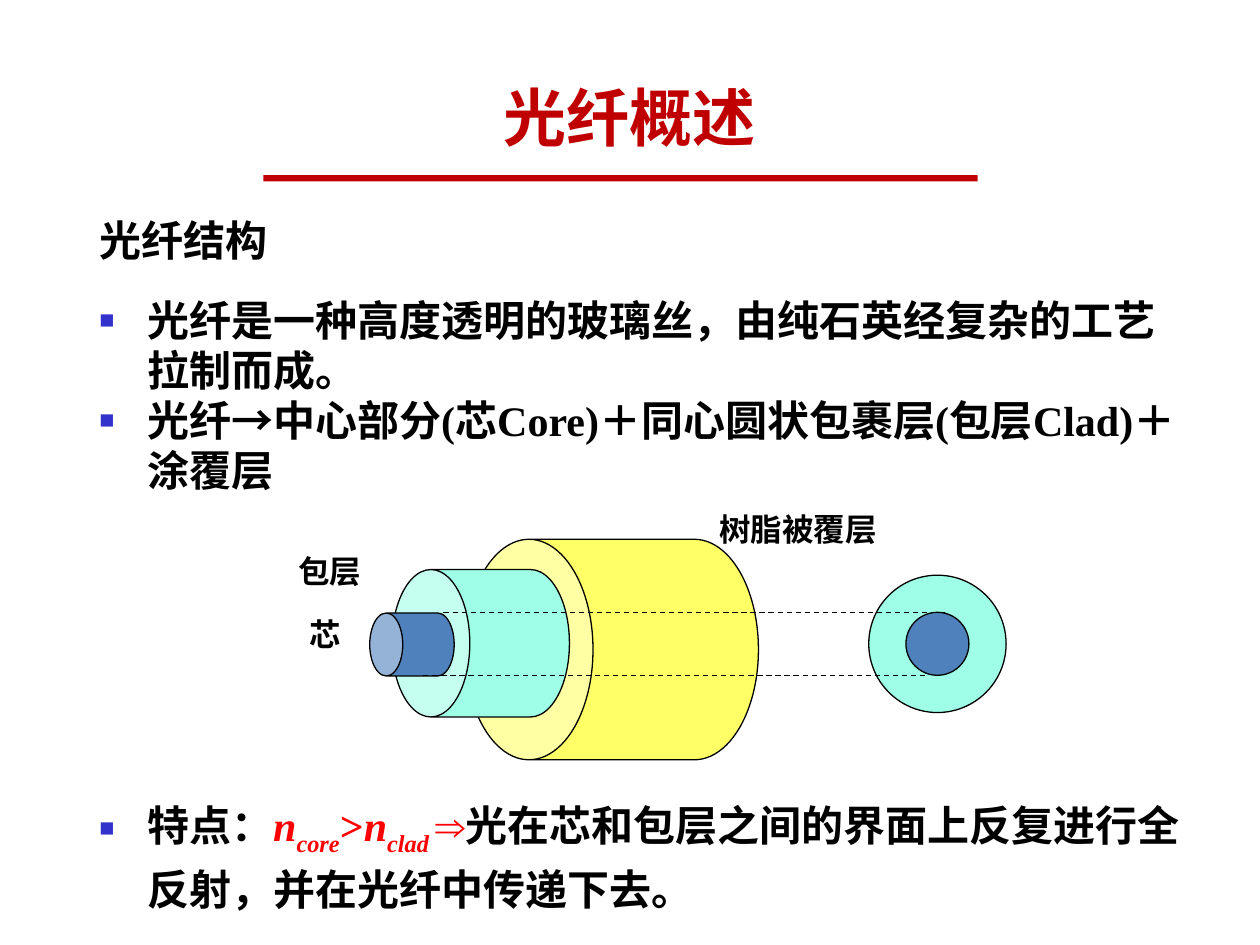
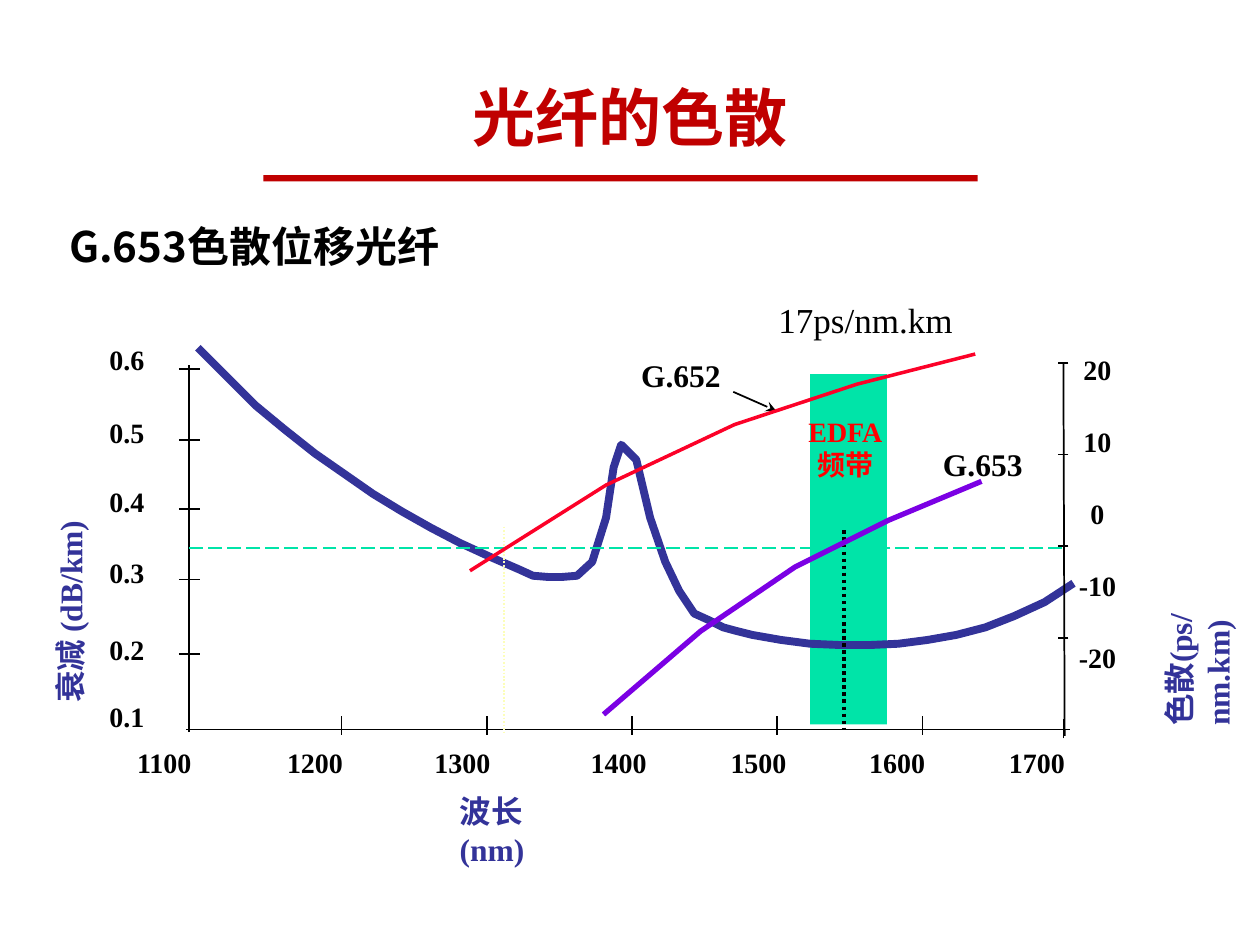
from lxml import etree
from pptx import Presentation
from pptx.dml.color import RGBColor
from pptx.enum.dml import MSO_LINE
from pptx.enum.shapes import MSO_CONNECTOR, MSO_SHAPE
from pptx.enum.text import MSO_ANCHOR, PP_ALIGN
from pptx.oxml.ns import qn
from pptx.util import Inches, Pt

RECT, CAN, OVAL = MSO_SHAPE.RECTANGLE, MSO_SHAPE.CAN, MSO_SHAPE.OVAL
DASH, DOT, LONG_DASH = MSO_LINE.DASH, MSO_LINE.ROUND_DOT, MSO_LINE.LONG_DASH
STRAIGHT = MSO_CONNECTOR.STRAIGHT
LEFT, CENTER = PP_ALIGN.LEFT, PP_ALIGN.CENTER
TOP, MIDDLE = MSO_ANCHOR.TOP, MSO_ANCHOR.MIDDLE

SANS, SERIF = "Noto Sans CJK SC", "Times New Roman"
COLORS = {
    "black": "000000", "title": "C00000", "red": "FF0000", "bullet": "3333CC",
    "coating": "FFFF66", "clad": "9FFFE6", "core": "4F81BD",
    "band": "00E4A8", "loss": "333399", "g652": "FC0128", "g653": "7B00E4",
    "pale": "FCFEB9",
}


def rgb(name):
    return RGBColor.from_string(COLORS[name])


def add_run(p, text, size=18, color="black", font=SERIF, bold=True,
            italic=False, subscript=False):
    r = p.add_run()
    r.text = text
    f = r.font
    f.size, f.bold, f.italic, f.name = Pt(size), bold, italic, font
    f.color.rgb = rgb(color)
    rPr = r._r.get_or_add_rPr()
    etree.SubElement(rPr, qn("a:ea"), typeface=SANS)
    if subscript:
        rPr.set("baseline", "-25000")


def add_bullet(p):
    pPr = p._p.get_or_add_pPr()
    pPr.set("marL", str(Inches(0.38)))
    pPr.set("indent", str(-Inches(0.38)))
    clr = etree.SubElement(pPr, qn("a:buClr"))
    etree.SubElement(clr, qn("a:srgbClr"), val=COLORS["bullet"])
    etree.SubElement(pPr, qn("a:buSzPct"), val="60000")
    etree.SubElement(pPr, qn("a:buFont"), typeface=SERIF)
    etree.SubElement(pPr, qn("a:buChar"), char="■")


class Deck:
    def __init__(self):
        self.prs = Presentation()
        self.prs.slide_width, self.prs.slide_height = Inches(10), Inches(7.5)
        self.s = None

    def slide(self, title):
        self.s = self.prs.slides.add_slide(self.prs.slide_layouts[6])
        self.text(0.5, 0.3, 9, 1.25, title, size=36, color="title", font=SANS,
                  align=CENTER, anchor=MIDDLE)
        self.shape(RECT, 2.09, 1.39, 5.67, 0.05, "title")

    def text(self, x, y, w, h, *paragraphs, align=LEFT, anchor=TOP, rotation=0,
             bullet=False, pitch=None, gap=0, **fmt):
        """Each paragraph is a string or a list of (text, format) runs."""
        box = self.s.shapes.add_textbox(Inches(x), Inches(y), Inches(w), Inches(h))
        box.rotation = rotation
        tf = box.text_frame
        tf.word_wrap, tf.vertical_anchor = True, anchor
        for i, runs in enumerate(paragraphs):
            p = tf.paragraphs[0] if i == 0 else tf.add_paragraph()
            if bullet:
                add_bullet(p)
            p.alignment = align
            if pitch:
                p.line_spacing = Pt(pitch)
            if i and gap:
                p.space_before = Pt(gap)
            for text, extra in [(runs, {})] if isinstance(runs, str) else runs:
                add_run(p, text, **{**fmt, **extra})

    def shape(self, kind, x, y, w, h, fill, outline=False, rotation=0, adj=None):
        sp = self.s.shapes.add_shape(kind, Inches(x), Inches(y), Inches(w), Inches(h))
        sp.shadow.inherit = False
        sp.rotation = rotation
        sp.fill.solid()
        sp.fill.fore_color.rgb = rgb(fill)
        if adj:
            sp.adjustments[0] = adj
        if outline:
            sp.line.color.rgb, sp.line.width = rgb("black"), Pt(0.75)
        else:
            sp.line.fill.background()

    def line(self, x1, y1, x2, y2, color="black", width=1, dash=None, arrow=False):
        c = self.s.shapes.add_connector(STRAIGHT, Inches(x1), Inches(y1),
                                        Inches(x2), Inches(y2))
        c.line.color.rgb, c.line.width = rgb(color), Pt(width)
        if dash:
            c.line.dash_style = dash
        if arrow:
            etree.SubElement(c.line._get_or_add_ln(), qn("a:tailEnd"), type="stealth")
        etree.SubElement(c._element.spPr, qn("a:effectLst"))

    def curve(self, points, color, width):
        pts = [(Inches(x), Inches(y)) for x, y in points]
        fb = self.s.shapes.build_freeform(*pts[0], scale=1.0)
        fb.add_line_segments(pts[1:], close=False)
        sp = fb.convert_to_shape()
        sp.shadow.inherit = False
        sp.fill.background()
        sp.line.color.rgb, sp.line.width = rgb(color), Pt(width)


def structure_slide(d):
    d.slide("光纤概述")
    body = dict(size=24, pitch=28.6)
    d.text(0.69, 1.66, 8.87, 0.5, "光纤结构", **body)
    d.text(0.69, 2.29, 8.87, 1.7,
           "光纤是一种高度透明的玻璃丝，由纯石英经复杂的工艺拉制而成。",
           "光纤→中心部分(芯Core)＋同心圆状包裹层(包层Clad)＋涂覆层",
           bullet=True, **body)
    red = dict(color="red")
    index = dict(red, italic=True, subscript=True)
    symbol = dict(red, italic=True)
    d.text(0.69, 6.3, 8.87, 1,
           [("特点：", {}), ("n", symbol), ("core", index), (">", red),
            ("n", symbol), ("clad ", index), ("⇒", red),
            ("光在芯和包层之间的界面上反复进行全反射，并在光纤中传递下去。", {})],
           bullet=True, size=24, pitch=32.6)

    for x, y, w, h, adj, layer in [(3.98, 3.99, 1.75, 2.33, 0.581, "coating"),
                                   (3.23, 4.4, 1.17, 1.41, 0.529, "clad"),
                                   (3.02, 4.78, 0.5, 0.67, 0.524, "core")]:
        d.shape(CAN, x, y, w, h, layer, outline=True, rotation=270, adj=adj)
    for diameter, layer in [(1.09, "clad"), (0.5, "core")]:
        d.shape(OVAL, 7.44 - diameter / 2, 5.11 - diameter / 2, diameter, diameter,
                layer, outline=True)
    for x, y in [(3.52, 4.86), (3.36, 5.36)]:
        d.line(x, y, x + 4, y, width=0.75, dash=DASH)
    for x, y, w, label in [(2.36, 4.83, 0.58, "芯"), (2.27, 4.33, 0.92, "包层"),
                           (5.61, 4, 1.92, "树脂被覆层")]:
        d.text(x, y, w, 0.4, label)


LOSS_CURVE = [
    (1.57, 2.76), (1.8, 2.99), (2.03, 3.22), (2.26, 3.41), (2.5, 3.6), (2.73, 3.76),
    (2.96, 3.92), (3.19, 4.06), (3.42, 4.19), (3.65, 4.31), (3.89, 4.42), (4.12, 4.52),
    (4.23, 4.57), (4.35, 4.58), (4.46, 4.58), (4.58, 4.57), (4.7, 4.46), (4.81, 4.11),
    (4.87, 3.71), (4.93, 3.53), (5.05, 3.65), (5.16, 4.11), (5.28, 4.46), (5.39, 4.69),
    (5.51, 4.87), (5.62, 4.92), (5.74, 4.98), (5.85, 5.01), (5.97, 5.04), (6.2, 5.08),
    (6.43, 5.11), (6.67, 5.12), (6.9, 5.12), (7.13, 5.11), (7.36, 5.08), (7.59, 5.04),
    (7.82, 4.98), (8.05, 4.89), (8.29, 4.78), (8.52, 4.63)]
G653_CURVE = [(4.79, 5.67), (5.56, 5.01), (6.31, 4.5), (7.05, 4.13), (7.79, 3.82)]
G652_CURVE = [(3.73, 4.53), (4.81, 3.85), (5.83, 3.37), (6.8, 3.05), (7.74, 2.81)]


def wavelength_axis(d):
    d.line(1.48, 5.79, 8.49, 5.79)
    for i in range(5):
        x = 2.71 + 1.153 * i
        d.line(x, 5.83, x, 5.68)
    for i, x in enumerate([0.99, 2.18, 3.35, 4.59, 5.7, 6.8, 7.91]):
        d.text(x, 5.87, 0.8, 0.37, str(1100 + 100 * i), size=16)
    d.text(3.55, 6.24, 0.8, 0.7, "波长(nm)", color="loss")


def loss_axis(d):
    d.line(1.5, 5.81, 1.5, 2.9)
    for y in [2.93, 3.49, 4.04, 4.6, 5.19]:
        d.line(1.42, y, 1.59, y)
    for i, y in enumerate([5.5, 4.97, 4.36, 3.8, 3.25, 2.67]):
        d.text(0.77, y, 0.6, 0.37, f"0.{i + 1}", size=16)
    d.text(-0.35, 4.57, 1.81, 0.4, "衰减 (dB/km)", color="loss", rotation=270)


def dispersion_axis(d):
    d.line(8.44, 5.86, 8.44, 5.71)
    d.line(8.45, 5.84, 8.44, 2.88)
    for i in range(4):
        y = 2.88 + 0.727 * i
        d.line(8.48, y, 8.4, y)
    d.text(8.41, 2.75, 0.6, 2.63, "20", "10", "0", "-10", "-20",
           size=16, align=CENTER, gap=22)
    d.text(8.91, 4.81, 1.3, 0.8, "色散(ps/nm.km)", color="loss", rotation=270)


def dispersion_slide(d):
    d.slide("光纤的色散")
    d.text(0.45, 1.7, 8.72, 0.6, "G.653色散位移光纤", size=24, font=SANS)
    d.shape(RECT, 6.43, 2.97, 0.61, 2.78, "band")
    d.text(6.21, 3.24, 1, 0.63, "EDFA", "频带", size=16, color="red", align=CENTER)
    wavelength_axis(d)
    d.curve(LOSS_CURVE, "loss", 4.5)
    loss_axis(d)
    d.line(4, 4.18, 4, 5.81, color="pale", dash=DOT)
    d.line(6.7, 4.21, 6.7, 5.78, width=2, dash=DOT)
    d.line(8.43, 4.35, 1.48, 4.35, color="band", dash=LONG_DASH)
    dispersion_axis(d)
    d.text(6.91, 3.48, 1.78, 0.4, "G.653", align=CENTER)
    d.curve(G653_CURVE, "g653", 3)
    d.text(6.08, 2.32, 1.8, 0.44, "17ps/nm.km", size=20, bold=False)
    d.line(5.82, 3.11, 6.16, 3.26, arrow=True)
    d.text(4.99, 2.78, 1, 0.4, "G.652")
    d.curve(G652_CURVE, "g652", 2)


def main():
    d = Deck()
    structure_slide(d)
    dispersion_slide(d)
    d.prs.save("out.pptx")


if __name__ == "__main__":
    main()
